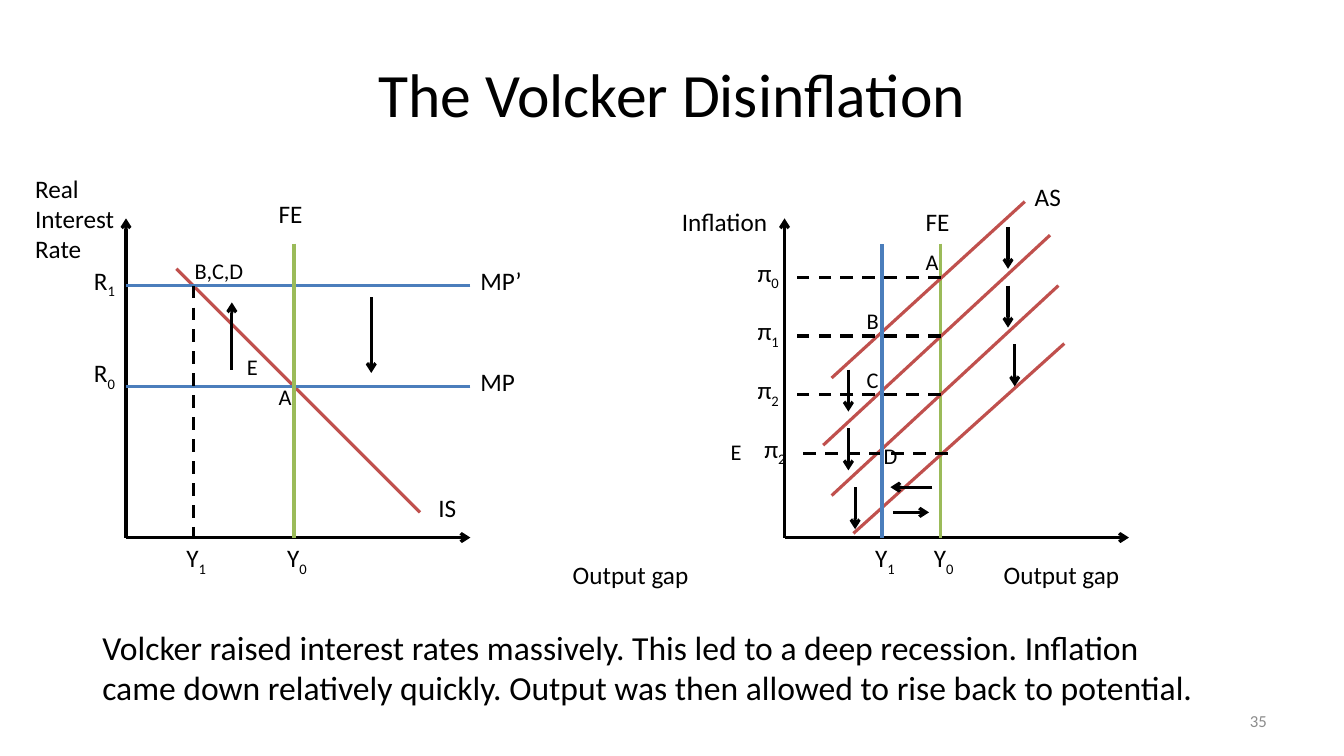
from lxml.etree import SubElement
from pptx import Presentation
from pptx.dml.color import RGBColor
from pptx.enum.dml import MSO_LINE
from pptx.enum.shapes import MSO_CONNECTOR
from pptx.enum.text import MSO_ANCHOR, PP_ALIGN
from pptx.oxml.ns import qn
from pptx.util import Inches, Pt

BLACK = RGBColor(0x00, 0x00, 0x00)
GREY = RGBColor(0x8C, 0x8C, 0x8C)
RED = RGBColor(0xC0, 0x50, 0x4D)
GREEN = RGBColor(0x9B, 0xBB, 0x59)
BLUE = RGBColor(0x4B, 0x7E, 0xBC)

deck = Presentation()
deck.slide_width, deck.slide_height = Inches(13.333), Inches(7.5)
slide = deck.slides.add_slide(deck.slide_layouts[6])
CELL = deck.slide_height / 90  # the slide is a grid of 160 columns by 90 rows


def draw_line(x1, y1, x2, y2, color=BLACK, arrow=False, dashed=False):
    connector = slide.shapes.add_connector(
        MSO_CONNECTOR.STRAIGHT, *(round(v * CELL) for v in (x1, y1, x2, y2)))
    connector.line.color.rgb = color
    connector.line.width = Pt(2.25)
    if dashed:
        connector.line.dash_style = MSO_LINE.DASH
    if arrow:
        SubElement(connector.line._get_or_add_ln(), qn("a:tailEnd"), type="arrow")
    SubElement(connector._element.spPr, qn("a:effectLst"))


def write(text, x, y, width, height=4.85, size=18, subscript="", wrap=False,
          color=BLACK, align=PP_ALIGN.LEFT, anchor=MSO_ANCHOR.TOP):
    box = slide.shapes.add_textbox(*(round(v * CELL) for v in (x, y, width, height)))
    frame = box.text_frame
    frame.word_wrap = wrap
    frame.vertical_anchor = anchor
    paragraph = frame.paragraphs[0]
    paragraph.alignment = align
    paragraph.font.name = "Calibri"
    paragraph.font.size = Pt(size)
    paragraph.font.color.rgb = color
    paragraph.add_run().text = text
    if subscript:
        lowered = paragraph.add_run()
        lowered.text = subscript
        lowered.font._element.set("baseline", "-25000")


write("The Volcker Disinflation", 8, 3.6, 144, 15, size=44, wrap=True,
      align=PP_ALIGN.CENTER, anchor=MSO_ANCHOR.MIDDLE)
write("35", 114.7, 83.4, 37.3, 4.8, size=12, wrap=True, color=GREY,
      align=PP_ALIGN.RIGHT, anchor=MSO_ANCHOR.MIDDLE)

# Axes of both diagrams
BASE, TOP, FE_TOP = 64, 26, 29
for origin, axis_end in ((15, 56), (93.4, 134.4)):
    draw_line(origin, BASE, origin, TOP, arrow=True)
    draw_line(origin, BASE, axis_end, BASE, arrow=True)

# Left diagram: IS and MP curves
MP_ROW, MP_RAISED_ROW = 46, 34
draw_line(21, 32, 50, 61, RED)
for row in (MP_ROW, MP_RAISED_ROW):
    draw_line(56, row, 15, row, BLUE)
draw_line(35, FE_TOP, 35, BASE, GREEN)
draw_line(23, MP_RAISED_ROW, 23, BASE, dashed=True)
draw_line(27.6, 44, 27.6, 36, arrow=True)
draw_line(44.2, 35.4, 44.2, 44.4, arrow=True)

# Right diagram: AS falls step by step, with inflation one step lower each time
STEP = 7
draw_line(112, FE_TOP, 112, BASE, GREEN)
as_curves = [(99, 45, 122, 24), (98, 53, 125, 28),
             (99, 59, 126, 34), (101.6, 63.5, 126.7, 40.9)]
for step, (curve, subscript) in enumerate(zip(as_curves, "0122")):
    nudge = 0.8 if step == 3 else 0
    inflation_row = 33 + STEP * step
    draw_line(*curve, RED)
    draw_line(112 + nudge, inflation_row, 94 + nudge, inflation_row, dashed=True)
    write("π", 89 + nudge, inflation_row - 3, 5.2, subscript=subscript)
    if step > 0:
        for column, row in ((101, 37), (120, 20)):
            start = row + STEP * step
            draw_line(column + nudge, start, column + nudge, start + 5, arrow=True)
draw_line(105, BASE, 105, FE_TOP, BLUE)
draw_line(111, 58, 106, 58, arrow=True)
draw_line(106.3, 61, 110.6, 61, arrow=True)

# Names of axes and curves
for name, x, y, width in (
        ("Inflation", 80, 24, 12.7), ("Output gap", 118.3, 66, 16.3),
        ("Output gap", 67, 66, 16.3), ("IS", 51, 58, 4.6), ("AS", 122, 21, 7),
        ("FE", 32, 23, 5.3), ("FE", 109, 24, 5.3),
        ("MP", 56, 43, 6.6), ("MP’", 56, 31, 7.4)):
    write(name, x, y, width)
write("Real Interest Rate", 3, 20, 12, 12.1, wrap=True)

# Levels marked on the axes
for level, subscript, x, y in (
        ("Y", "0", 33, BASE), ("Y", "1", 21, BASE), ("Y", "0", 110, BASE),
        ("Y", "1", 103, BASE), ("R", "0", 10, 42), ("R", "1", 10, 31)):
    write(level, x, y, 5, subscript=subscript)

# Equilibrium points
for point, x, y, width in (
        ("A", 32, 45, 4), ("B,C,D", 22, 30, 8.3), ("E", 28.2, 41.4, 4),
        ("A", 109, 29, 4), ("B", 102, 36, 3.8), ("C", 102, 43, 4),
        ("D", 104, 52, 4), ("E", 85.8, 51.6, 4)):
    write(point, x, y, width, 4.45, size=16, wrap=True)

write("Volcker raised interest rates massively. This led to a deep recession. "
      "Inflation came down relatively quickly. Output was then allowed to rise "
      "back to potential.", 11, 74, 135, 10.9, size=24, wrap=True)

deck.save("out.pptx")
